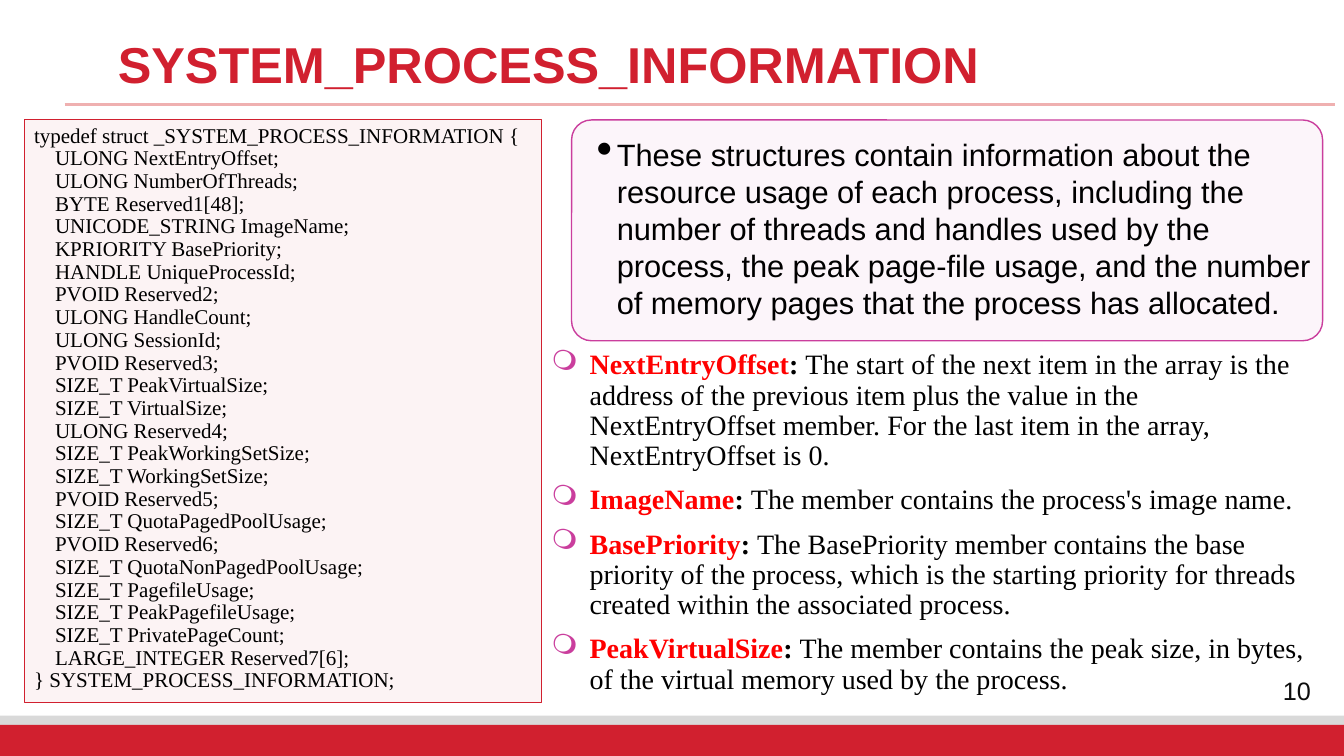
"""Builds the SYSTEM_PROCESS_INFORMATION slide."""
from dataclasses import dataclass

from lxml.etree import SubElement
from pptx import Presentation
from pptx.dml.color import RGBColor
from pptx.enum.shapes import MSO_CONNECTOR, MSO_SHAPE
from pptx.enum.text import MSO_ANCHOR, PP_ALIGN
from pptx.oxml.ns import qn
from pptx.util import Inches, Pt

RED, PURPLE, BLACK = "D1202F", "CA3E9D", "000000"
SANS, SERIF = "Arial", "Times New Roman"


@dataclass(frozen=True)
class Area:
    """A rectangle in percent of the slide's width and height."""
    left: float
    top: float
    width: float
    height: float


@dataclass(frozen=True)
class Style:
    """The look of one run."""
    font: str
    size: float
    color: str = BLACK
    bold: bool = False


@dataclass(frozen=True)
class Bullet:
    """A bullet sign with its hanging indent in inches."""
    sign: str
    color: str
    margin: float
    hang: float
    percent: int = 100


@dataclass(frozen=True)
class Panel:
    """A filled shape, outlined when it has a line width."""
    area: Area
    color: str
    opacity: int = 100
    line_width: float = 0
    kind: MSO_SHAPE = MSO_SHAPE.RECTANGLE


FOOTER_BANDS = [
    Panel(Area(0, 94.67, 100, 5.33), "D9D9D9"),
    Panel(Area(0, 95.87, 100, 4.13), RED),
]
CODE_PANEL = Panel(Area(1.8, 15.87, 38.48, 77.07), RED, 5, 0.75)
SUMMARY_PANEL = Panel(Area(42.53, 15.87, 55.88, 29.2), PURPLE, 5, 1,
                      MSO_SHAPE.ROUNDED_RECTANGLE)
SUMMARY_BULLET = Bullet("•", BLACK, 0.39, 0.2, 150)
MEMBER_BULLET = Bullet("❍", PURPLE, 0.38, 0.38)

CODE = """typedef struct _SYSTEM_PROCESS_INFORMATION {
    ULONG NextEntryOffset;
    ULONG NumberOfThreads;
    BYTE Reserved1[48];
    UNICODE_STRING ImageName;
    KPRIORITY BasePriority;
    HANDLE UniqueProcessId;
    PVOID Reserved2;
    ULONG HandleCount;
    ULONG SessionId;
    PVOID Reserved3;
    SIZE_T PeakVirtualSize;
    SIZE_T VirtualSize;
    ULONG Reserved4;
    SIZE_T PeakWorkingSetSize;
    SIZE_T WorkingSetSize;
    PVOID Reserved5;
    SIZE_T QuotaPagedPoolUsage;
    PVOID Reserved6;
    SIZE_T QuotaNonPagedPoolUsage;
    SIZE_T PagefileUsage;
    SIZE_T PeakPagefileUsage;
    SIZE_T PrivatePageCount;
    LARGE_INTEGER Reserved7[6];
} SYSTEM_PROCESS_INFORMATION;"""

SUMMARY = ("These structures contain information about the resource usage of each "
           "process, including the number of threads and handles used by the process, "
           "the peak page-file usage, and the number of memory pages that the process "
           "has allocated.")

MEMBERS = {
    "NextEntryOffset": "The start of the next item in the array is the address of the "
                       "previous item plus the value in the NextEntryOffset member. "
                       "For the last item in the array, NextEntryOffset is 0.",
    "ImageName": "The member contains the process's image name.",
    "BasePriority": "The BasePriority member contains the base priority of the process, "
                    "which is the starting priority for threads created within the "
                    "associated process.",
    "PeakVirtualSize": "The member contains the peak size, in bytes, of the virtual "
                       "memory used by the process.",
}

deck = Presentation()
deck.slide_width, deck.slide_height = Inches(13.33), Inches(7.5)
slide = deck.slides.add_slide(deck.slide_layouts[6])


def rgb(color: str) -> RGBColor:
    """Turn a hex string into a colour."""
    return RGBColor.from_string(color)


def across(share: float) -> int:
    """Percent of the slide's width as a length."""
    return round(deck.slide_width * share / 100)


def down(share: float) -> int:
    """Percent of the slide's height as a length."""
    return round(deck.slide_height * share / 100)


def place(area: Area) -> tuple[int, int, int, int]:
    """Left, top, width and height of an area as lengths."""
    return across(area.left), down(area.top), across(area.width), down(area.height)


def add_panel(panel: Panel):
    """Draw a panel and return its shape."""
    shape = slide.shapes.add_shape(panel.kind, *place(panel.area))
    shape.shadow.inherit = False
    shape.fill.solid()
    shape.fill.fore_color.rgb = rgb(panel.color)
    if panel.opacity < 100:
        fill_color = shape.fill._xPr.find(qn("a:solidFill"))[0]
        SubElement(fill_color, qn("a:alpha"), val=str(panel.opacity * 1000))
    if panel.line_width:
        shape.line.color.rgb = rgb(panel.color)
        shape.line.width = Pt(panel.line_width)
    else:
        shape.line.fill.background()
    return shape


def add_frame(area: Area, anchor: MSO_ANCHOR = MSO_ANCHOR.TOP):
    """Add a wrapping text box and return its text frame."""
    frame = slide.shapes.add_textbox(*place(area)).text_frame
    frame.word_wrap = True
    frame.vertical_anchor = anchor
    return frame


def set_bullet(paragraph, bullet: Bullet) -> None:
    """Give a paragraph a bullet and a hanging indent."""
    props = paragraph._p.get_or_add_pPr()
    props.set("marL", str(Inches(bullet.margin)))
    props.set("indent", str(-Inches(bullet.hang)))
    color = SubElement(props, qn("a:buClr"))
    SubElement(color, qn("a:srgbClr"), val=bullet.color)
    SubElement(props, qn("a:buSzPct"), val=str(bullet.percent * 1000))
    SubElement(props, qn("a:buChar"), char=bullet.sign)


def write(frame, rows: list[list[tuple[str, Style]]], bullet: Bullet | None = None,
          align: PP_ALIGN = PP_ALIGN.LEFT, spacing: float = 0.9, after: float = 0) -> None:
    """Fill a text frame with one paragraph per row of styled runs."""
    for index, row in enumerate(rows):
        paragraph = frame.add_paragraph() if index else frame.paragraphs[0]
        if bullet:
            set_bullet(paragraph, bullet)
        paragraph.alignment = align
        paragraph.line_spacing = spacing
        paragraph.space_after = Pt(after)
        for text, style in row:
            run = paragraph.add_run()
            run.text = text
            run.font.name, run.font.size = style.font, Pt(style.size)
            run.font.bold = style.bold
            run.font.color.rgb = rgb(style.color)


def main() -> None:
    """Draw the slide from back to front and save it."""
    for band in FOOTER_BANDS:
        add_panel(band)
    rule = slide.shapes.add_connector(MSO_CONNECTOR.STRAIGHT, across(4.8), down(13.87),
                                      across(99.3), down(13.87))
    rule.line.color.rgb = rgb("EFB0B0")
    rule.line.width = Pt(2.25)
    SubElement(rule._element.spPr, qn("a:effectLst"))

    write(add_frame(Area(93.08, 88.67, 6.83, 5.2), MSO_ANCHOR.MIDDLE),
          [[("10", Style(SANS, 18, "0D0D0D"))]], align=PP_ALIGN.CENTER, spacing=1)
    write(add_frame(Area(8.03, 4.67, 85.28, 6.4)),
          [[("SYSTEM_PROCESS_INFORMATION", Style(SANS, 36, RED, True))]])

    listing = add_panel(CODE_PANEL).text_frame
    listing.word_wrap = True
    listing.vertical_anchor = MSO_ANCHOR.TOP
    write(listing, [[(line, Style(SERIF, 15))] for line in CODE.splitlines()])

    write(add_frame(Area(40.28, 45.73, 58.2, 47.33)),
          [[(name, Style(SERIF, 20, "FF0000", True)), (": ", Style(SERIF, 20, bold=True)),
            (meaning, Style(SERIF, 20))] for name, meaning in MEMBERS.items()],
          MEMBER_BULLET, after=10)

    add_panel(SUMMARY_PANEL).adjustments[0] = 0.09
    write(add_frame(Area(42.23, 17.33, 56.55, 26)), [[(SUMMARY, Style(SANS, 22))]],
          SUMMARY_BULLET, spacing=1)
    deck.save("out.pptx")


if __name__ == "__main__":
    main()
